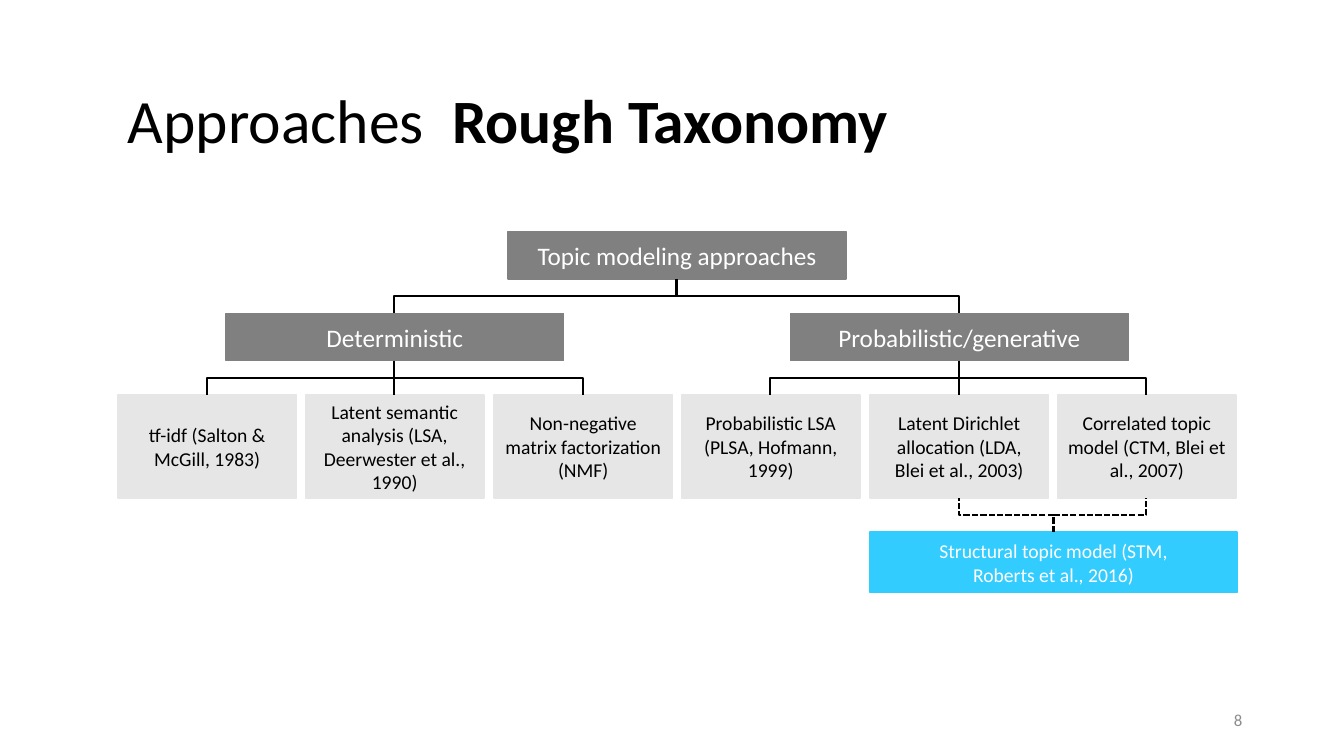
from pptx import Presentation
from pptx.dml.color import RGBColor
from pptx.enum.dml import MSO_LINE
from pptx.enum.shapes import MSO_CONNECTOR, MSO_SHAPE
from pptx.enum.text import MSO_ANCHOR, PP_ALIGN
from pptx.oxml.ns import qn
from pptx.util import Emu, Pt
from lxml.etree import SubElement

PX = 9144  # 100 px to the inch
BLACK = RGBColor(0x00, 0x00, 0x00)
WHITE = RGBColor(0xFF, 0xFF, 0xFF)
GRAY = RGBColor(0x80, 0x80, 0x80)
LIGHT = RGBColor(0xE7, 0xE6, 0xE6)
CYAN = RGBColor(0x33, 0xCC, 0xFF)
MUTED = RGBColor(0x8C, 0x8C, 0x8C)


def px(n):
    return Emu(round(n * PX))


class Deck:
    font = "Calibri"

    def __init__(self, prs):
        self.slide = prs.slides.add_slide(prs.slide_layouts[6])

    def style(self, r, size, color, bold=False):
        r.font.name = self.font
        r.font.size = Pt(size)
        r.font.color.rgb = color
        r.font.bold = bold

    def text(self, x, y, w, h, runs, size, color, align=PP_ALIGN.LEFT):
        """Text box; runs are (text, bold, character spacing in points)."""
        tf = self.slide.shapes.add_textbox(px(x), px(y), px(w), px(h)).text_frame
        tf.word_wrap = True
        tf.vertical_anchor = MSO_ANCHOR.MIDDLE
        p = tf.paragraphs[0]
        p.alignment = align
        p.line_spacing = 0.9
        for text, bold, spacing in runs:
            r = p.add_run()
            r.text = text
            self.style(r, size, color, bold)
            if spacing:
                r.font._element.set("spc", str(spacing * 100))

    def box(self, x, y, w, h, text, size, fill, color):
        sp = self.slide.shapes.add_shape(MSO_SHAPE.RECTANGLE, px(x), px(y), px(w), px(h))
        sp.shadow.inherit = False
        sp.fill.solid()
        sp.fill.fore_color.rgb = fill
        sp.line.color.rgb = fill
        sp.line.width = Pt(1)
        tf = sp.text_frame
        tf.text = text
        tf.word_wrap = True
        tf.vertical_anchor = MSO_ANCHOR.MIDDLE
        for p in tf.paragraphs:
            p.alignment = PP_ALIGN.CENTER
            for r in p.runs:
                self.style(r, size, color)

    def elbow(self, x1, y1, x2, y2, dash=None):
        """Vertical-first elbow: a horizontal-first one turned a quarter about its centre."""
        cx, cy = (x1 + x2) / 2, (y1 + y2) / 2
        dx, dy = (y2 - y1) / 2, (x1 - x2) / 2
        c = self.slide.shapes.add_connector(
            MSO_CONNECTOR.ELBOW, px(cx - dx), px(cy - dy), px(cx + dx), px(cy + dy))
        c.line.color.rgb = BLACK
        c.line.width = Pt(1.5)
        if dash:
            c.line.dash_style = dash
        spPr = c._element.spPr
        spPr.find(qn("a:xfrm")).set("rot", "5400000")
        SubElement(spPr, qn("a:effectLst"))


# Tree layout
GROUP_W, GROUP_H = 335, 47
LEAF_X, LEAF_W, LEAF_H, LEAF_STEP = 117, 177, 102, 186.4
ROOT_Y, GROUP_Y, LEAF_Y, MERGED_Y = 230, 311, 392, 528
MERGED_W, MERGED_H = 364, 60

GROUPS = [
    ("Deterministic", [
        "tf-idf (Salton & McGill, 1983)",
        "Latent semantic analysis (LSA, Deerwester et al., 1990)",
        "Non-negative matrix factorization (NMF)",
    ]),
    ("Probabilistic/generative", [
        "Probabilistic LSA (PLSA, Hofmann, 1999)",
        "Latent Dirichlet allocation (LDA, Blei et al., 2003)",
        "Correlated topic model (CTM, Blei et al., 2007)",
    ]),
]


def main():
    prs = Presentation()
    prs.slide_width, prs.slide_height = px(1333), px(750)
    s = Deck(prs)

    # Title and slide number
    title = [("Approaches", False, 0), (" ", False, 10), ("Rough Taxonomy", True, 0)]
    s.text(117, 61, 1125, 123, title, 44, BLACK)
    s.text(942, 695, 300, 40, [("8", False, 0)], 12, MUTED, PP_ALIGN.RIGHT)

    # Root
    leaf_x = [LEAF_X + round(i * LEAF_STEP) for i in range(6)]
    leaf_mid = [x + LEAF_W // 2 for x in leaf_x]
    root_mid = (leaf_mid[1] + leaf_mid[4]) // 2
    s.box(root_mid - GROUP_W // 2, ROOT_Y, GROUP_W, GROUP_H,
          "Topic modeling approaches", 18, GRAY, WHITE)

    # Groups with their leaves
    for g, (name, leaves) in enumerate(GROUPS):
        mid = leaf_mid[3 * g + 1]
        s.box(mid - GROUP_W // 2, GROUP_Y, GROUP_W, GROUP_H, name, 18, GRAY, WHITE)
        s.elbow(root_mid, ROOT_Y + GROUP_H, mid, GROUP_Y)
        for i, leaf in enumerate(leaves, 3 * g):
            s.box(leaf_x[i], LEAF_Y, LEAF_W, LEAF_H, leaf, 14, LIGHT, BLACK)
            s.elbow(mid, GROUP_Y + GROUP_H, leaf_mid[i], LEAF_Y)

    # Model that merges the last two leaves
    s.box(leaf_x[4], MERGED_Y, MERGED_W, MERGED_H,
          "Structural topic model (STM,\nRoberts et al., 2016)", 14, CYAN, WHITE)
    for mid in leaf_mid[4:]:
        s.elbow(leaf_x[4] + MERGED_W // 2, MERGED_Y, mid, LEAF_Y + LEAF_H,
                MSO_LINE.SQUARE_DOT)

    prs.save("out.pptx")


if __name__ == "__main__":
    main()
